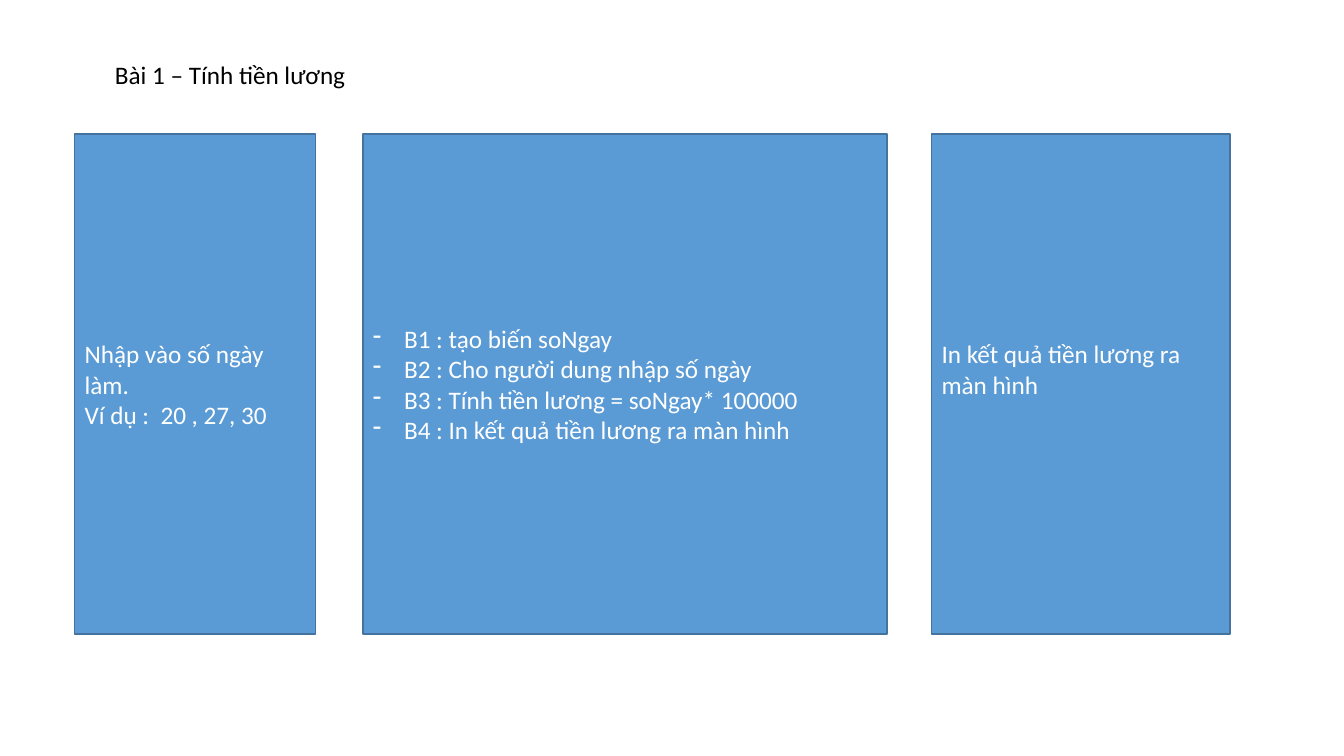
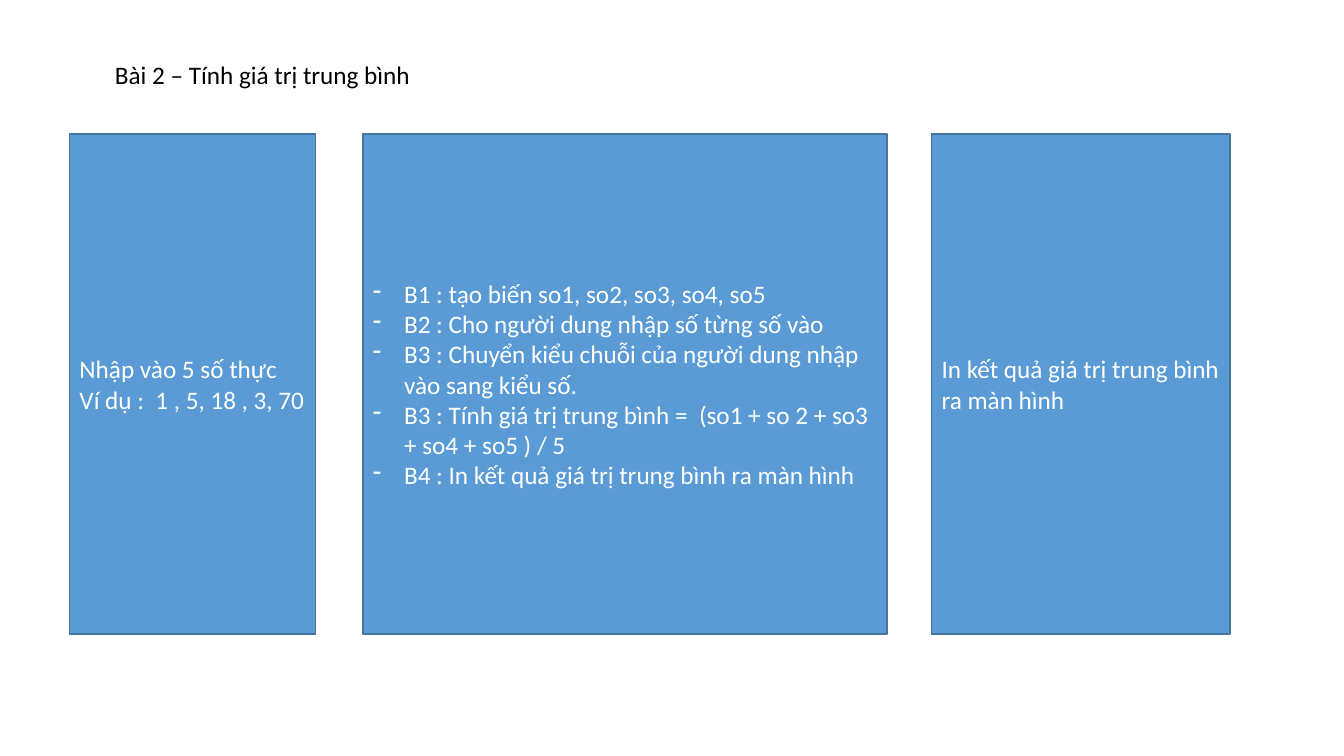
from lxml.etree import SubElement
from pptx import Presentation
from pptx.dml.color import RGBColor as RGB
from pptx.enum.shapes import MSO_SHAPE as Shape
from pptx.enum.text import MSO_ANCHOR as Anchor, MSO_AUTO_SIZE as Fit, PP_ALIGN as Align
from pptx.oxml.ns import qn
from pptx.util import Inches, Pt

COLORS = {"fill": "5B9BD5", "edge": "43739E", "light": "FFFFFF", "dark": "000000"}
FONT = {"name": "Calibri", "size": Pt(18), "bold": False}
FRAME = {"word_wrap": True, "margin_left": Inches(0.1), "margin_right": Inches(0.1),
         "margin_top": Inches(0.05), "margin_bottom": Inches(0.05)}
TITLE = (1.04, 0.54, 3.71, 0.4)
TOP, HIGH = 1.33, 4.96
STEPS, RESULT = (3.6, TOP, 5.2, HIGH), (9.24, TOP, 2.96, HIGH)
EDGE = 3.13   # right edge of the input panel
HANG = Inches(0.31)
LINE = 0.3    # height of one text line


def color(name):
    """Return the named colour."""
    return RGB.from_string(COLORS[name])


def put(item, values):
    """Set each attribute in a dict of format values."""
    for key, value in values.items():
        setattr(item, key, value)


def dash(para):
    """Give a paragraph a hanging dash."""
    props = para._p.get_or_add_pPr()
    props.set("marL", str(HANG))
    props.set("indent", str(-HANG))
    SubElement(props, qn("a:buFontTx"))
    SubElement(props, qn("a:buChar")).set("char", "-")


def write(frame, lines, tone, **extra):
    """Fill a text frame with left-aligned lines."""
    put(frame, {**FRAME, **extra})
    frame.text = "\n".join(lines)
    for para in frame.paragraphs:
        para.alignment = Align.LEFT
        put(para.font, FONT)
        para.font.color.rgb = color(tone)


def title(slide, box, text):
    """Place and format the slide title."""
    head = slide.shapes.title
    put(head, dict(zip(("left", "top", "width", "height"), map(Inches, box))))
    write(head.text_frame, [text], "dark", vertical_anchor=Anchor.TOP,
          auto_size=Fit.SHAPE_TO_FIT_TEXT)


def panel(slide, box, lines, listed=False, lift=0):
    """Draw a blue panel; lift raises its centred text by whole or half lines."""
    card = slide.shapes.add_shape(Shape.RECTANGLE, *map(Inches, box))
    card.shadow.inherit = False
    card.fill.solid()
    card.fill.fore_color.rgb = color("fill")
    card.line.color.rgb = color("edge")
    card.line.width = Pt(1)
    write(card.text_frame, lines, "light", vertical_anchor=Anchor.MIDDLE,
          margin_bottom=Inches(0.05 + 2 * lift * LINE))
    if listed:
        for para in card.text_frame.paragraphs:
            dash(para)


def lesson(deck, name, left, given, steps, result, lift=0):
    """Add an exercise slide: input, steps and result."""
    slide = deck.slides.add_slide(deck.slide_layouts[5])
    title(slide, TITLE, name)
    panel(slide, (left, TOP, EDGE - left, HIGH), given)
    panel(slide, STEPS, steps, listed=True)
    panel(slide, RESULT, [result], lift=lift)


deck = Presentation()
put(deck, {"slide_width": Inches(13.33), "slide_height": Inches(7.5)})
lesson(deck, "Bài 1 – Tính tiền lương", 0.74,
       ["Nhập vào số ngày làm.", "Ví dụ :  20 , 27, 30"],
       ["B1 : tạo biến soNgay",
        "B2 : Cho người dung nhập số ngày",
        "B3 : Tính tiền lương = soNgay* 100000",
        "B4 : In kết quả tiền lương ra màn hình"],
       "In kết quả tiền lương ra màn hình", lift=0.5)
lesson(deck, "Bài 2 – Tính giá trị trung bình", 0.69,
       ["Nhập vào 5 số thực", "Ví dụ :  1 , 5, 18 , 3, 70"],
       ["B1 : tạo biến so1, so2, so3, so4, so5",
        "B2 : Cho người dung nhập số từng số vào",
        "B3 : Chuyển kiểu chuỗi của người dung nhập vào sang kiểu số.",
        "B3 : Tính giá trị trung bình =  (so1 + so 2 + so3 + so4 + so5 ) / 5",
        "B4 : In kết quả giá trị trung bình ra màn hình"],
       "In kết quả giá trị trung bình ra màn hình")
deck.save("out.pptx")
